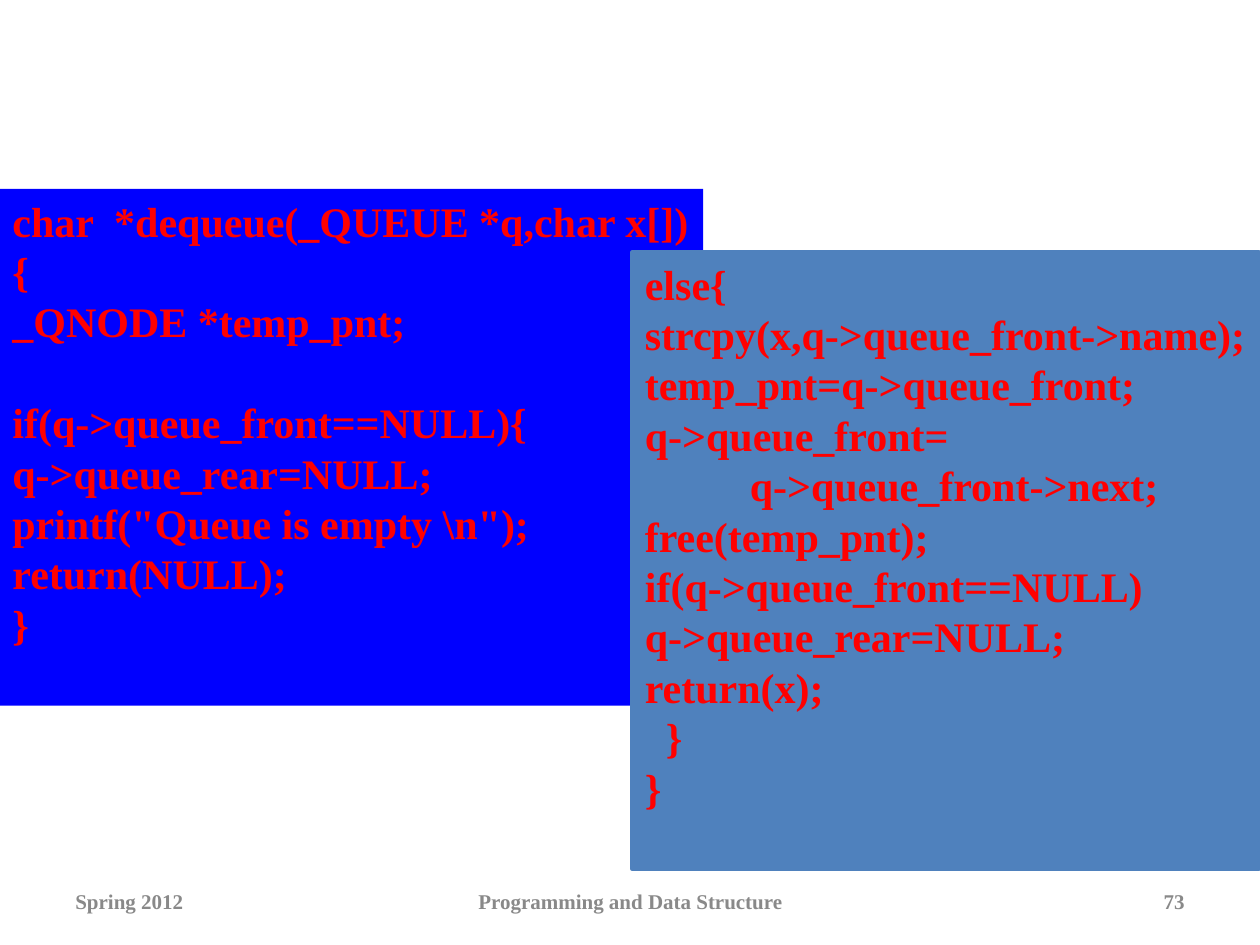
"""Build the slide showing the dequeue function in two overlapping code panels."""
import dataclasses

import pptx
import pptx.dml.color
import pptx.enum.shapes
import pptx.enum.text
import pptx.util

Inches, Pt = pptx.util.Inches, pptx.util.Pt
RGB = pptx.dml.color.RGBColor.from_string
ALIGN = pptx.enum.text.PP_ALIGN
ANCHOR = pptx.enum.text.MSO_ANCHOR


@dataclasses.dataclass(frozen=True)
class Theme:
    font: str = "Times New Roman"
    code: str = "FF0000"
    footer: str = "898989"
    blue: str = "0000FF"
    steel: str = "4F81BD"
    code_size: float = 24
    code_pitch: float = 28.8
    footer_size: float = 12
    border: float = 2.5


theme = Theme()


def style(p, size, color, align):
    p.alignment = align
    p.font.name = theme.font
    p.font.size = Pt(size)
    p.font.bold = True
    p.font.color.rgb = RGB(color)


prs = pptx.Presentation()
prs.slide_width, prs.slide_height = Inches(10), Inches(7.5)
s = prs.slides.add_slide(prs.slide_layouts[6])

footers = [
    ("Spring 2012", 0.5, 2.33, ALIGN.LEFT),
    ("Programming and Data Structure", 3.42, 3.17, ALIGN.CENTER),
    ("73", 7.17, 2.33, ALIGN.RIGHT),
]
for text, left, width, align in footers:
    sp = s.shapes.add_textbox(Inches(left), Inches(6.95), Inches(width), Inches(0.4))
    tf = sp.text_frame
    tf.word_wrap = True
    tf.vertical_anchor = ANCHOR.MIDDLE
    p = tf.paragraphs[0]
    p.text = text
    style(p, theme.footer_size, theme.footer, align)

dequeue_start = r"""char  *dequeue(_QUEUE *q,char x[])
{
_QNODE *temp_pnt;

if(q->queue_front==NULL){
q->queue_rear=NULL;
printf("Queue is empty \n");
return(NULL);
}"""
dequeue_end = """else{
strcpy(x,q->queue_front->name);
temp_pnt=q->queue_front;
q->queue_front=
          q->queue_front->next;
free(temp_pnt);
if(q->queue_front==NULL)
q->queue_rear=NULL;
return(x);
  }
}"""
panels = [
    (dequeue_start, (0, 1.5, 5.58, 4.1), theme.blue, False),
    (dequeue_end, (5.02, 2, 4.97, 4.9), theme.steel, True),
]
for code, box, fill, bordered in panels:
    sp = s.shapes.add_shape(pptx.enum.shapes.MSO_SHAPE.RECTANGLE, *map(Inches, box))
    sp.shadow.inherit = False
    sp.fill.solid()
    sp.fill.fore_color.rgb = RGB(fill)
    if bordered:
        sp.line.color.rgb = RGB(fill)
        sp.line.width = Pt(theme.border)
    else:
        sp.line.fill.background()
    tf = sp.text_frame
    tf.word_wrap = False
    tf.vertical_anchor = ANCHOR.TOP
    p, gap = tf.paragraphs[0], False
    for line in code.splitlines():
        if not line:
            gap = True
            continue
        if p.text:
            p = tf.add_paragraph()
        p.text = line
        p.line_spacing = Pt(theme.code_pitch)
        if gap:
            p.space_before = Pt(theme.code_pitch)
            gap = False
        style(p, theme.code_size, theme.code, ALIGN.LEFT)

prs.save("out.pptx")
